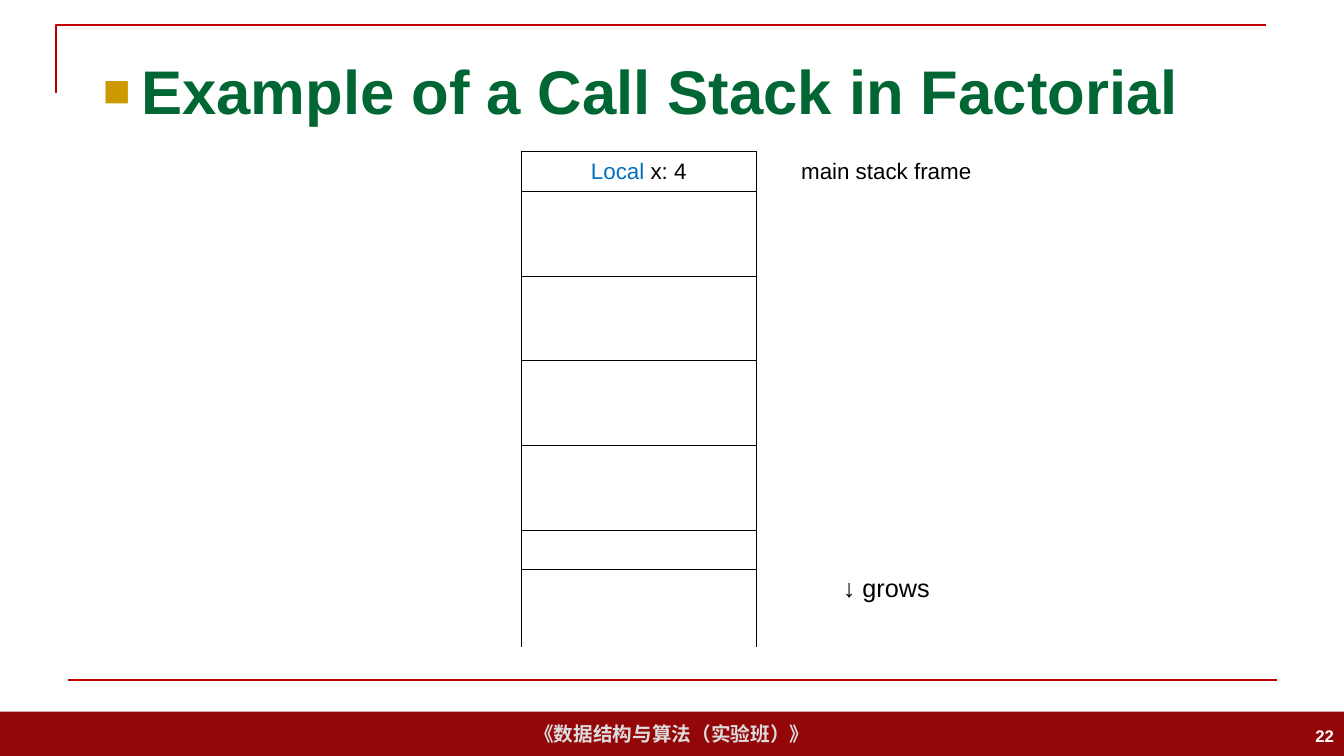
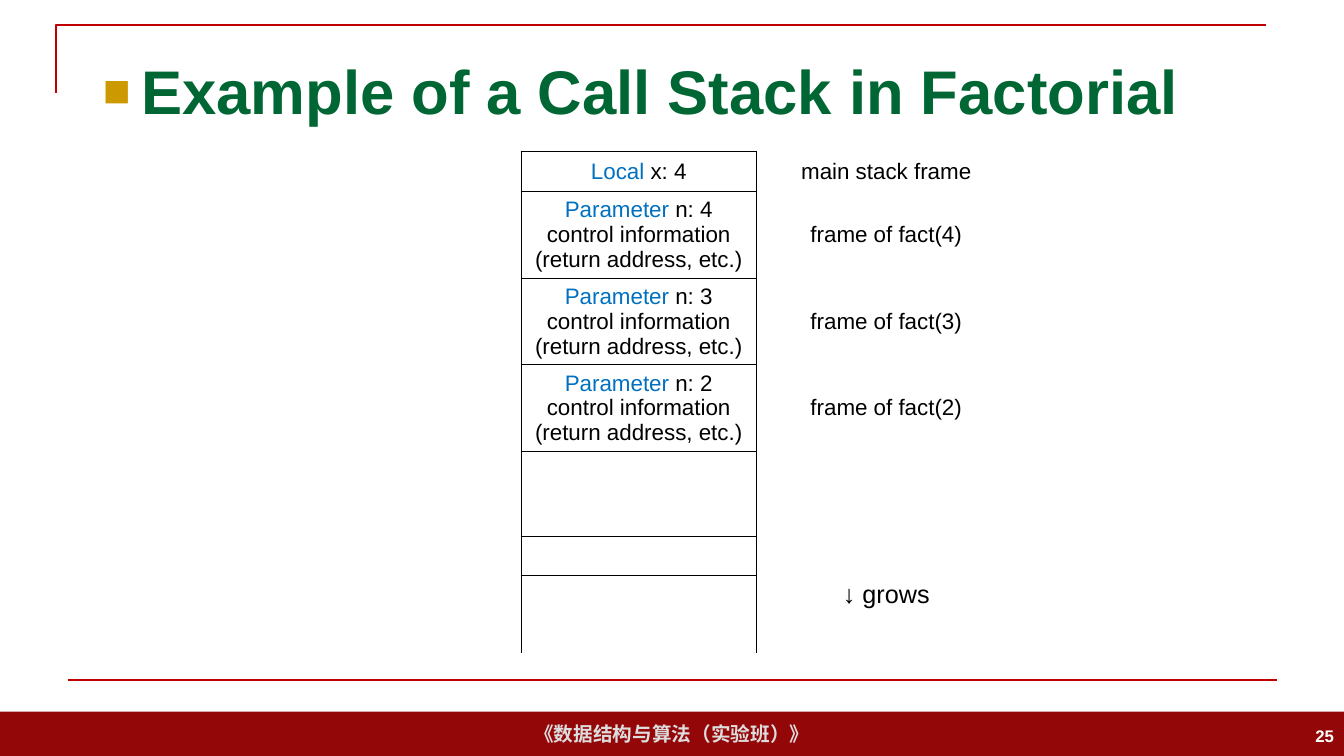
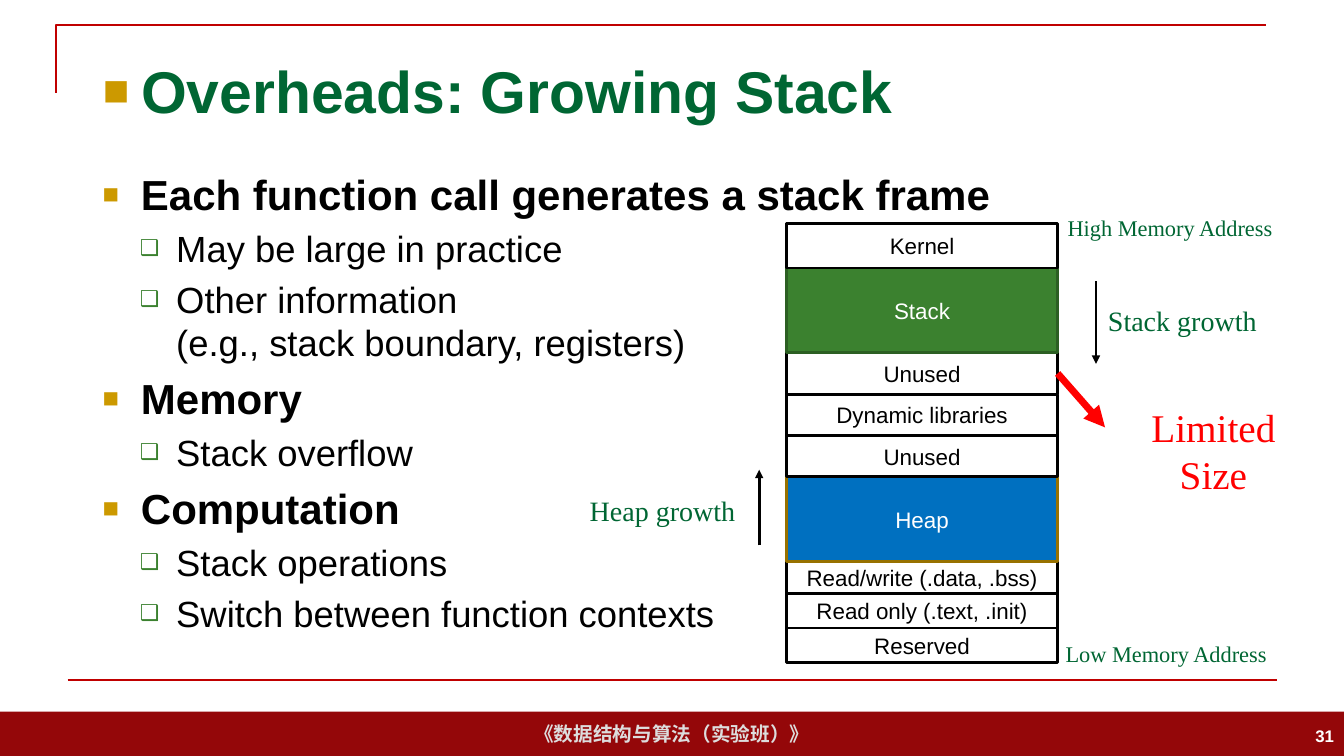
from dataclasses import dataclass
from lxml import etree
from pptx import Presentation
from pptx.dml.color import RGBColor
from pptx.enum import shapes, text
from pptx.oxml.ns import qn
from pptx.util import Inches, Pt


@dataclass
class Theme:
    sans: str = "Arial"
    serif: str = "Times New Roman"
    black: str = "000000"
    white: str = "FFFFFF"
    band: str = "940709"
    band_text: str = "DDDDDD"
    rule: str = "C00000"
    title: str = "006633"
    gold: str = "CC9900"
    gold_edge: str = "977100"
    green: str = "3B812F"
    green_edge: str = "2C5F23"
    blue: str = "0070C0"
    red: str = "FF0000"
    number_size: int = 12
    footer_size: int = 14
    small_size: int = 16
    grow_size: int = 18
    label_size: int = 20
    sub_size: int = 26
    limit_size: int = 28
    body_size: int = 30


theme = Theme()


def style_paragraph(p, size, color, bold=False, font=theme.sans, align=None, bullet=None):
    if align is not None:
        p.alignment = align
    if bullet:
        char, bullet_color, percent, left, hang = bullet
        pPr = p._p.get_or_add_pPr()
        pPr.set("marL", str(Inches(left)))
        pPr.set("indent", str(-Inches(hang)))
        clr = etree.SubElement(pPr, qn("a:buClr"))
        etree.SubElement(clr, qn("a:srgbClr"), val=bullet_color)
        etree.SubElement(pPr, qn("a:buSzPct"), val=str(percent * 1000))
        etree.SubElement(pPr, qn("a:buFont"), typeface=theme.sans)
        etree.SubElement(pPr, qn("a:buChar"), char=char)
    for r in p.runs:
        r.font.name = font
        r.font.size = Pt(size)
        r.font.bold = bold
        r.font.color.rgb = RGBColor.from_string(color)


def draw_line(s, start, end, color, width, arrow=False):
    ends = [Inches(v) for v in (*start, *end)]
    line = s.shapes.add_connector(shapes.MSO_CONNECTOR.STRAIGHT, *ends)
    line.line.color.rgb = RGBColor.from_string(color)
    line.line.width = Pt(width)
    if arrow:
        etree.SubElement(line.line._get_or_add_ln(), qn("a:tailEnd"), type="triangle")
    etree.SubElement(line.element.spPr, qn("a:effectLst"))
    return line


CENTER = text.PP_ALIGN.CENTER
MIDDLE = text.MSO_ANCHOR.MIDDLE

prs = Presentation()
prs.slide_width = Inches(13.33)
prs.slide_height = Inches(7.5)

slides = []
for title, size, number in [
    ("Example of a Call Stack in Factorial", 44, "22"),
    ("Example of a Call Stack in Factorial", 44, "25"),
    ("Overheads: Growing Stack", 42, "31"),
]:
    s = prs.slides.add_slide(prs.slide_layouts[5])
    slides.append(s)
    sp = s.shapes.title
    sp.left, sp.top, sp.width, sp.height = [Inches(v) for v in (0.92, 0.4, 11.5, 0.99)]
    tf = sp.text_frame
    tf.text = title
    tf.auto_size = text.MSO_AUTO_SIZE.NONE
    tf.vertical_anchor = MIDDLE
    style_paragraph(tf.paragraphs[0], size, theme.title, True, align=text.PP_ALIGN.LEFT,
                    bullet=("■", theme.gold, 75, 0.38, 0.38))
    tf = s.shapes.add_textbox(Inches(10.33), Inches(7.1), Inches(3), Inches(0.4)).text_frame
    tf.word_wrap = True
    tf.vertical_anchor = MIDDLE
    tf.text = number
    style_paragraph(tf.paragraphs[0], theme.number_size, theme.white, True,
                    align=text.PP_ALIGN.RIGHT)

s = slides[0]
band = s.shapes.add_shape(shapes.MSO_SHAPE.RECTANGLE, 0, Inches(7.06), prs.slide_width, Inches(0.44))
band.shadow.inherit = False
band.fill.solid()
band.fill.fore_color.rgb = RGBColor.from_string(theme.band)
band.line.fill.background()
tf = band.text_frame
tf.word_wrap = False
tf.vertical_anchor = MIDDLE
tf.text = "《数据结构与算法（实验班）》"
style_paragraph(tf.paragraphs[0], theme.footer_size, theme.band_text, True, align=CENTER)

outline = s.shapes.build_freeform(Inches(0.56), Inches(0.92))
outline.add_line_segments([(Inches(0.56), Inches(0.25)), (Inches(12.56), Inches(0.25))], close=False)
corner = outline.convert_to_shape()
corner.shadow.inherit = False
corner.fill.background()
corner.line.color.rgb = RGBColor.from_string(theme.rule)
corner.line.width = Pt(1.5)

rule = draw_line(s, (0.67, 6.75), (12.67, 6.75), theme.rule, 1.5)
for i, sp in enumerate([band, corner, rule]):
    sp.element.xpath("./*/p:cNvPr")[0].set("id", str(20 + i))
    prs.slide_master.shapes.element.insert(2 + i, sp.element)

row_heights = [0.4] + [0.84] * 4 + [0.39, 0.77]
rows = len(row_heights)
for s, calls in zip(slides, [[], [4, 3, 2]]):
    frame = s.shapes.add_table(rows, 2, Inches(5.17), Inches(1.5), Inches(4.91),
                               Inches(sum(row_heights)))
    table = frame.table
    table.first_row = table.horz_banding = False
    style_id = table._tbl.tblPr.find(qn("a:tableStyleId"))
    style_id.text = "{2D5ABB26-0587-4C30-8999-92F81FD0307C}"
    table.columns[0].width = Inches(2.33)
    table.columns[1].width = Inches(2.58)
    for i, height in enumerate(row_heights):
        table.rows[i].height = Inches(height)
        sides = ["lnL", "lnR"]
        if i < rows - 1:
            sides.append("lnT")
        if i < rows - 2:
            sides.append("lnB")
        tcPr = table.cell(i, 0)._tc.get_or_add_tcPr()
        for side in sides:
            ln = etree.SubElement(tcPr, qn("a:" + side), w=str(Pt(1)))
            fill = etree.SubElement(ln, qn("a:solidFill"))
            etree.SubElement(fill, qn("a:srgbClr"), val=theme.black)
        for cell in table.rows[i].cells:
            cell.fill.background()
            if i < rows - 1:
                cell.vertical_anchor = MIDDLE
                cell.margin_top = cell.margin_bottom = Inches(0.03)

    entries = [("Local", " x: 4", [], "main stack frame")]
    for n in calls:
        entries.append(("Parameter", f" n: {n}", ["control information", "(return address, etc.)"],
                        f"frame of fact({n})"))
    for i, (keyword, value, details, caption) in enumerate(entries):
        tf = table.cell(i, 0).text_frame
        tf.text = "\n".join([keyword] + details)
        tf.paragraphs[0].add_run().text = value
        for p in tf.paragraphs:
            style_paragraph(p, theme.small_size, theme.black, align=CENTER)
        tf.paragraphs[0].runs[0].font.color.rgb = RGBColor.from_string(theme.blue)
        tf = table.cell(i, 1).text_frame
        tf.text = caption
        style_paragraph(tf.paragraphs[0], theme.small_size, theme.black, align=CENTER)
    tf = table.cell(rows - 1, 1).text_frame
    tf.text = "↓ grows"
    style_paragraph(tf.paragraphs[0], theme.grow_size, theme.black, align=CENTER)

s = slides[2]
points = [
    (0, "Each function call generates a stack frame"),
    (1, "May be large in practice"),
    (1, "Other information\v(e.g., stack boundary, registers)"),
    (0, "Memory"),
    (1, "Stack overflow"),
    (0, "Computation"),
    (1, "Stack operations"),
    (1, "Switch between function contexts"),
]
levels = [
    (theme.body_size, True, ("■", theme.gold, 65, 0.38, 0.38)),
    (theme.sub_size, False, ("❑", theme.green, 60, 0.73, 0.36)),
]
tf = s.shapes.add_textbox(Inches(0.92), Inches(1.62), Inches(11.5), Inches(5.15)).text_frame
tf.word_wrap = True
for i, (level, line) in enumerate(points):
    p = tf.add_paragraph() if i else tf.paragraphs[0]
    size, bold, bullet = levels[level]
    p.text = line
    p.level = level
    p.space_before = Pt(0.2 * size if i else 0)
    style_paragraph(p, size, theme.black, bold, bullet=bullet)

plain = (theme.white, theme.black, theme.black)
regions = [
    ("Reserved", 0.34, plain),
    ("Read only (.text, .init)", 0.34, plain),
    ("Read/write (.data, .bss)", 0.32, plain),
    ("Heap", 0.84, (theme.blue, theme.gold_edge, theme.white)),
    ("Unused", 0.41, plain),
    ("Dynamic libraries", 0.41, plain),
    ("Unused", 0.41, plain),
    ("Stack", 0.84, (theme.green, theme.green_edge, theme.white)),
    ("Kernel", 0.44, plain),
]
top = 6.57
memory = []
for name, height, (fill, edge, ink) in regions:
    top -= height
    sp = s.shapes.add_shape(shapes.MSO_SHAPE.RECTANGLE, Inches(7.8), Inches(top),
                            Inches(2.69), Inches(height))
    sp.shadow.inherit = False
    sp.fill.solid()
    sp.fill.fore_color.rgb = RGBColor.from_string(fill)
    sp.line.color.rgb = RGBColor.from_string(edge)
    sp.line.width = Pt(2)
    tf = sp.text_frame
    tf.word_wrap = True
    tf.vertical_anchor = MIDDLE
    tf.text = name
    style_paragraph(tf.paragraphs[0], theme.small_size, ink, align=CENTER)
    memory.append(sp)

draw_line(s, (10.87, 2.79), (10.87, 3.61), theme.black, 2, True)
draw_line(s, (7.53, 5.41), (7.53, 4.66), theme.black, 2, True)
limit_arrow = draw_line(s, (10.49, 3.71), (10.96, 4.24), theme.red, 5, True)
limit_arrow.begin_connect(memory[6], 3)

for label, x, y, width, height, size, color, align in [
    ("Stack growth", 10.89, 2.96, 2.05, 0.44, theme.label_size, theme.title, None),
    ("Heap growth", 5.75, 4.85, 2.05, 0.44, theme.label_size, theme.title, None),
    ("Low Memory Address", 10.47, 6.3, 2.54, 0.37, theme.small_size, theme.title, None),
    ("High Memory Address", 10.49, 2.08, 2.62, 0.37, theme.small_size, theme.title, None),
    ("Limited Size", 10.96, 3.95, 2.15, 0.57, theme.limit_size, theme.red, CENTER),
]:
    tf = s.shapes.add_textbox(Inches(x), Inches(y), Inches(width), Inches(height)).text_frame
    tf.word_wrap = True
    tf.auto_size = text.MSO_AUTO_SIZE.SHAPE_TO_FIT_TEXT
    tf.text = label
    style_paragraph(tf.paragraphs[0], size, color, font=theme.serif, align=align)

prs.save("out.pptx")
